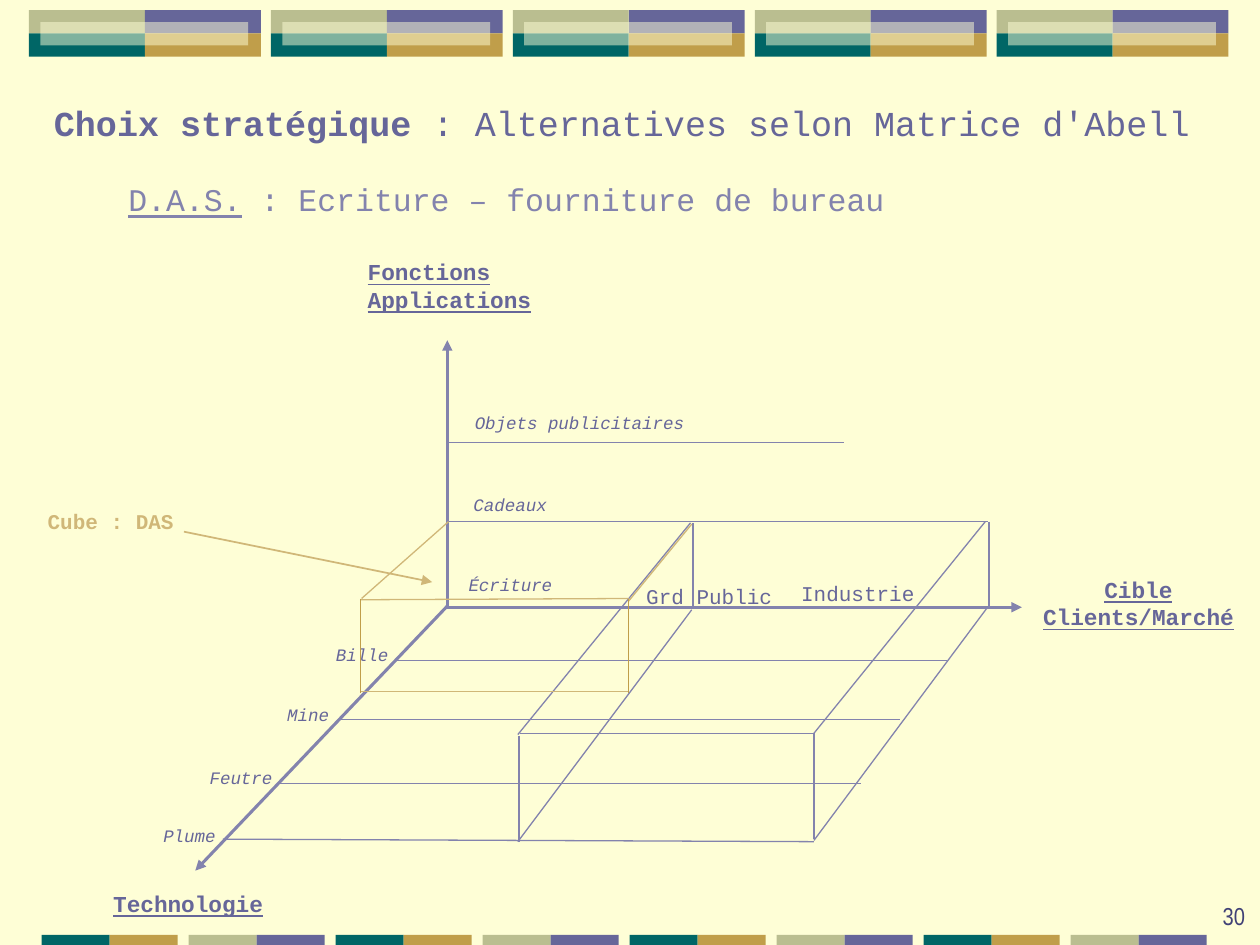
from lxml import etree
from pptx import Presentation
from pptx import util as u
from pptx.dml.color import RGBColor
from pptx.enum import shapes, text
from pptx.oxml import ns

COLORS = {
    "cream": "FEFED6", "violet": "666699", "lavender": "8383AD", "gold": "C09E4A",
    "sand": "D0B778", "teal": "006666", "olive": "BABE90", "navy": "404176",
}
LEFT, CENTER, RIGHT = text.PP_ALIGN.LEFT, text.PP_ALIGN.CENTER, text.PP_ALIGN.RIGHT
BASE = {"name": "Courier New", "size": u.Pt(12), "color": "violet"}
HEADING = {**BASE, "size": u.Pt(20)}
SUBHEADING = {**BASE, "size": u.Pt(18), "color": "lavender"}
AXIS = {**BASE, "size": u.Pt(13), "bold": True, "underline": True}
LEVEL = {**BASE, "size": u.Pt(10), "italic": True}
CALLOUT = {**BASE, "color": "sand", "bold": True}
PAGE = {"name": "Arial Narrow", "size": u.Pt(14), "color": "navy"}
FIXED = {"auto_size": text.MSO_AUTO_SIZE.NONE}
GROWING = {"word_wrap": False, "auto_size": text.MSO_AUTO_SIZE.SHAPE_TO_FIT_TEXT}

AXES = [
    ((3.55, 4.82), (3.55, 2.7)),
    ((3.55, 4.81), (1.55, 6.91)),
    ((3.55, 4.82), (8.11, 4.82)),
]
GRID = [
    ((3.55, 3.51), (6.7, 3.51)),
    ((3.55, 4.14), (7.84, 4.14)),
    ((7.85, 4.14), (7.85, 4.82)),
    ((7.83, 4.83), (6.46, 6.67)),
    ((7.82, 4.14), (6.46, 5.82)),
    ((5.5, 4.15), (5.5, 4.83)),
    ((5.49, 4.84), (4.11, 6.68)),
    ((5.48, 4.15), (4.11, 5.83)),
    ((4.13, 5.82), (6.47, 5.82)),
    ((1.77, 6.66), (6.46, 6.68)),
    ((6.46, 5.82), (6.46, 6.66)),
    ((4.12, 5.84), (4.12, 6.68)),
    ((2.2, 6.22), (6.83, 6.22)),
    ((2.68, 5.71), (7.14, 5.71)),
    ((3.13, 5.24), (7.52, 5.24)),
]
CUBE_EDGES = [
    ((2.86, 5.49), (4.99, 5.49)),
    ((2.86, 4.76), (4.99, 4.75)),
    ((3.56, 4.14), (2.87, 4.75)),
    ((5.49, 4.16), (4.99, 4.77)),
]
CUBE_SIDES = [((x, 4.75), (x, 5.5)) for x in (2.86, 4.99)]

AXIS_LABELS = [
    (["Fonctions", "Applications"], (2.82, 2, 1.5, 0.54), LEFT),
    (["Technologie"], (0.8, 7.01, 1.39, 0.32), LEFT),
    (["Cible", "Clients/Marché"], (8.18, 4.52, 1.71, 0.54), CENTER),
]
LEVEL_LABELS = [
    ("Objets publicitaires", 3.67, 3.22, 1.88, LEFT),
    ("Cadeaux", 3.66, 3.87, 0.8, LEFT),
    ("Écriture", 3.62, 4.51, 0.88, LEFT),
    ("Bille", 2.55, 5.06, 0.63, RIGHT),
    ("Mine", 2.16, 5.54, 0.55, RIGHT),
    ("Feutre", 1.54, 6.04, 0.72, RIGHT),
    ("Plume", 1.18, 6.5, 0.63, RIGHT),
]


def rgb(color):
    return RGBColor.from_string(COLORS[color])


def add_block(slide, box, color, opacity=None):
    shape = slide.shapes.add_shape(shapes.MSO_SHAPE.RECTANGLE, *map(u.Inches, box))
    shape.shadow.inherit = False
    shape.fill.solid()
    shape.fill.fore_color.rgb = rgb(color)
    shape.line.fill.background()
    if opacity is not None:
        fill_color = shape.fill._xPr.find(".//" + ns.qn("a:srgbClr"))
        etree.SubElement(fill_color, ns.qn("a:alpha"), val=str(opacity * 1000))


def add_line(slide, start, end, color="lavender", width=0.75, arrow=False):
    line = slide.shapes.add_connector(
        shapes.MSO_CONNECTOR.STRAIGHT, *map(u.Inches, (*start, *end)))
    line.line.color.rgb = rgb(color)
    line.line.width = u.Pt(width)
    if arrow:
        etree.SubElement(line.line._get_or_add_ln(), ns.qn("a:tailEnd"), type="triangle")
    etree.SubElement(line._element.spPr, ns.qn("a:effectLst"))


def add_text(slide, paragraphs, box, align=LEFT, layout=GROWING):
    frame = slide.shapes.add_textbox(*map(u.Inches, box)).text_frame
    for key, value in layout.items():
        setattr(frame, key, value)
    for index, runs in enumerate(paragraphs):
        paragraph = frame.add_paragraph() if index else frame.paragraphs[0]
        paragraph.alignment = align
        for content, style in runs:
            run = paragraph.add_run()
            run.text = content
            for key, value in style.items():
                if key == "color":
                    run.font.color.rgb = rgb(value)
                else:
                    setattr(run.font, key, value)


def add_top_band(slide):
    for index in range(5):
        left = 0.23 + 1.92 * index
        for row, pair in enumerate([("olive", "violet"), ("teal", "gold")]):
            for column, color in enumerate(pair):
                add_block(slide, (left + 0.92 * column, 0.08 + 0.185 * row, 0.92, 0.185), color)
        add_block(slide, (left + 0.09, 0.175, 1.65, 0.185), "cream", opacity=50)


def add_bottom_band(slide):
    pairs = [("teal", "gold"), ("olive", "violet")]
    for index in range(8):
        for column, color in enumerate(pairs[index % 2]):
            add_block(slide, (0.33 + index * 7 / 6 + 0.54 * column, 7.42, 0.54, 0.08), color)


def add_diagram(slide):
    for start, end in AXES:
        add_line(slide, start, end, width=1.75, arrow=True)
    for start, end in GRID:
        add_line(slide, start, end)
    for lines, box, align in AXIS_LABELS:
        add_text(slide, [[(line, AXIS)] for line in lines], box, align)
    for label, left, top, width, align in LEVEL_LABELS:
        add_text(slide, [[(label, LEVEL)]], (left, top, width, 0.27), align)
    add_text(slide, [[("Industrie", BASE)]], (6.26, 4.56, 1.1, 0.3))
    for start, end in CUBE_EDGES:
        add_line(slide, start, end, "sand")
    for start, end in CUBE_SIDES:
        add_line(slide, start, end, "gold")
    add_text(slide, [[("Grd Public", BASE)]], (5.03, 4.54, 1.41, 0.38),
             layout={**FIXED, "word_wrap": True, "vertical_anchor": text.MSO_ANCHOR.MIDDLE})
    add_text(slide, [[("Cube : DAS", CALLOUT)]], (0.28, 3.99, 1.2, 0.3))
    add_line(slide, (1.46, 4.22), (3.43, 4.62), "sand", 1, arrow=True)


def main():
    presentation = Presentation()
    presentation.slide_width = u.Inches(10)
    presentation.slide_height = u.Inches(7.5)
    slide = presentation.slides.add_slide(presentation.slide_layouts[6])
    slide.background.fill.solid()
    slide.background.fill.fore_color.rgb = rgb("cream")
    add_top_band(slide)
    add_bottom_band(slide)
    add_text(slide, [[("Choix stratégique", {**HEADING, "bold": True}),
                      (" : Alternatives selon Matrice d'Abell", HEADING)]],
             (0.33, 0.76, 9.25, 0.44))
    add_text(slide, [[("D.A.S.", {**SUBHEADING, "underline": True}),
                      (" : Ecriture – fourniture de bureau", SUBHEADING)]],
             (0.92, 1.38, 6.22, 0.4))
    add_diagram(slide)
    add_text(slide, [[("30", PAGE)]], (7.9, 6.93, 2.08, 0.5), RIGHT,
             {**FIXED, "word_wrap": True, "vertical_anchor": text.MSO_ANCHOR.BOTTOM})
    presentation.save("out.pptx")


if __name__ == "__main__":
    main()
